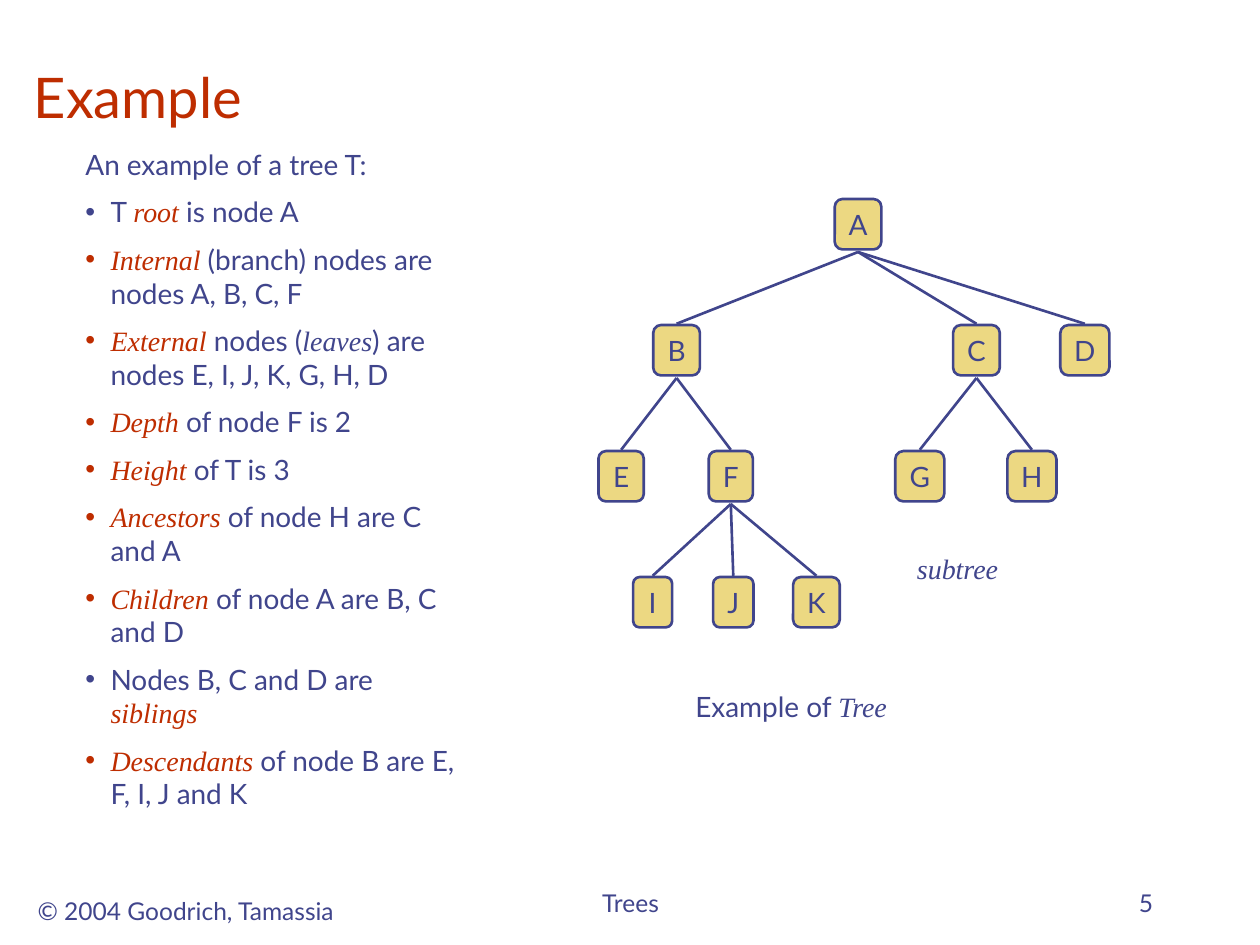
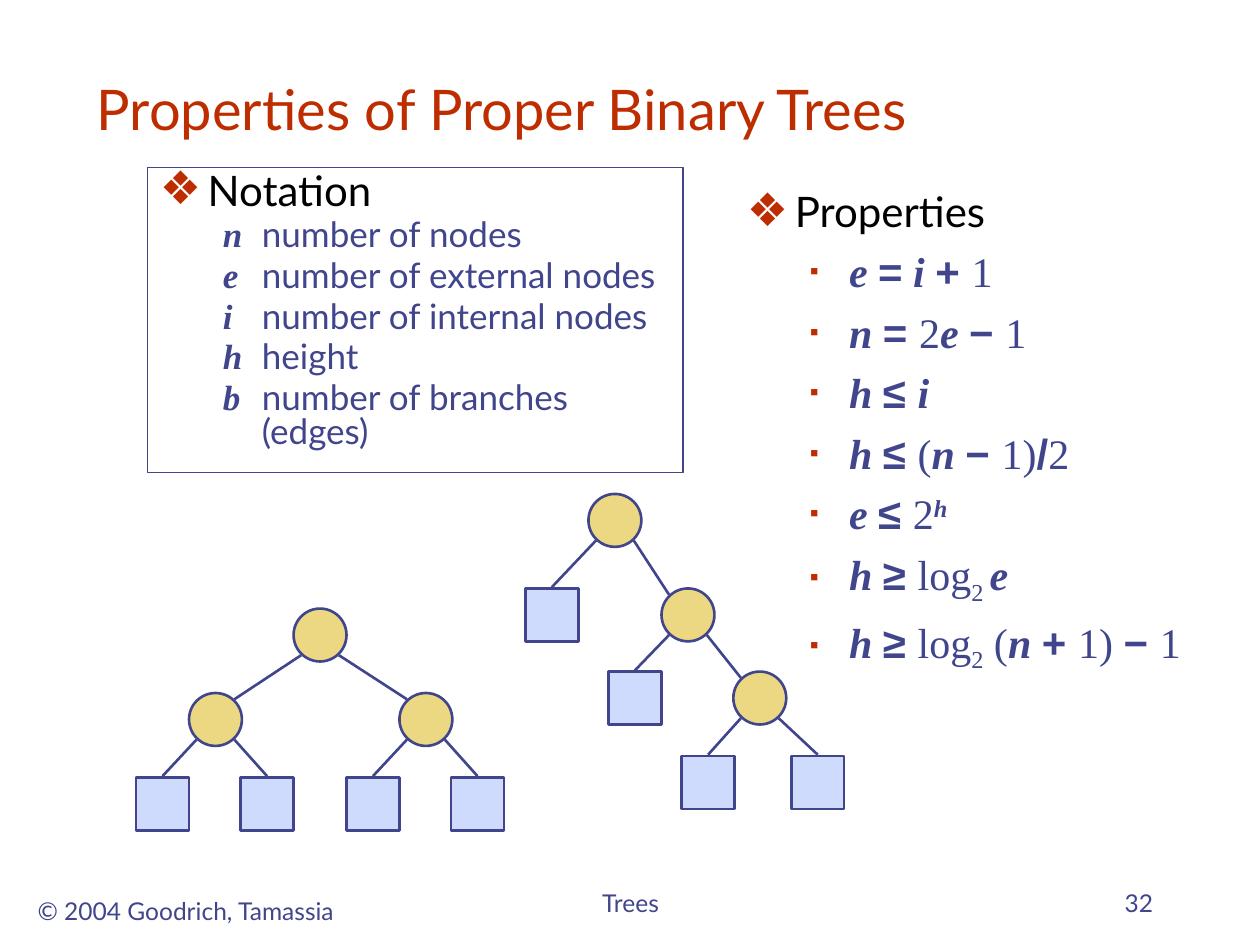
from lxml import etree
from pptx import Presentation
from pptx.dml.color import RGBColor
from pptx.enum.shapes import MSO_CONNECTOR, MSO_SHAPE
from pptx.enum.text import MSO_ANCHOR, PP_ALIGN
from pptx.oxml.ns import qn
from pptx.util import Inches, Pt

ROUNDED, RECT, OVAL = MSO_SHAPE.ROUNDED_RECTANGLE, MSO_SHAPE.RECTANGLE, MSO_SHAPE.OVAL
STRAIGHT = MSO_CONNECTOR.STRAIGHT
LEFT, CENTER, RIGHT = PP_ALIGN.LEFT, PP_ALIGN.CENTER, PP_ALIGN.RIGHT
TOP, MIDDLE, BOTTOM = MSO_ANCHOR.TOP, MSO_ANCHOR.MIDDLE, MSO_ANCHOR.BOTTOM

INDIGO, RUST, BLACK, WHITE = "40458C", "BE2D00", "000000", "FFFFFF"
GOLD, PALE_BLUE = "ECD882", "CFDBFD"
SANS, SERIF, SYMBOL = "Lato", "Times New Roman", "Arial"

# Run styles
PLAIN = {}
EMPHASIS = dict(font=SERIF, italic=True)
TERM = dict(font=SERIF, italic=True, color=RUST)
VARIABLE = dict(font=SERIF, bold=True, italic=True)
OPERATOR = dict(font=SYMBOL, bold=True)
NUMBER = dict(font=SERIF)
SUBSCRIPT = dict(font=SERIF, base=-25)
EXPONENT = dict(VARIABLE, base=30)


def rgb(color):
    return RGBColor.from_string(color)


def write(paragraph, text, font=SANS, size=16, color=INDIGO, bold=False, italic=False, base=0):
    run = paragraph.add_run()
    run.text = text
    run.font.name, run.font.size = font, Pt(size)
    run.font.bold, run.font.italic = bold, italic
    run.font.color.rgb = rgb(color)
    if base:
        run.font._element.set("baseline", str(base * 1000))


def add_bullet(paragraph, char, color, percent):
    properties = paragraph._p.get_or_add_pPr()
    bullet_color = etree.SubElement(properties, qn("a:buClr"))
    etree.SubElement(bullet_color, qn("a:srgbClr"), val=color)
    etree.SubElement(properties, qn("a:buSzPct"), val=str(percent * 1000))
    etree.SubElement(properties, qn("a:buFont"), typeface=SYMBOL)
    etree.SubElement(properties, qn("a:buChar"), char=char)


class Deck:
    def __init__(self):
        self.presentation = Presentation()
        self.presentation.slide_width = Inches(10)
        self.presentation.slide_height = Inches(7.5)
        self.slide = None

    def new_slide(self, title, left, top, number):
        self.slide = self.presentation.slides.add_slide(self.presentation.slide_layouts[6])
        self.label(title, (left, top, 8.5, 0.75), anchor=BOTTOM, size=32, color=RUST)
        self.label("© 2004 Goodrich, Tamassia", (0.17, 7.06, 2.61, 0.33),
                   align=CENTER, wrap=False, size=14)
        self.label("Trees", (3.42, 6.83, 3.17, 0.5), align=CENTER, anchor=BOTTOM, size=14)
        self.label(number, (7.17, 6.83, 2.08, 0.5), align=RIGHT, anchor=BOTTOM, size=14)

    def text_box(self, box, anchor=TOP, wrap=True):
        frame = self.slide.shapes.add_textbox(*map(Inches, box)).text_frame
        frame.word_wrap, frame.vertical_anchor = wrap, anchor
        return frame

    def label(self, text, box, align=LEFT, anchor=TOP, wrap=True, **fmt):
        paragraph = self.text_box(box, anchor, wrap).paragraphs[0]
        paragraph.alignment = align
        write(paragraph, text, **fmt)

    def paragraph(self, frame, runs, size=16, margin=0, hanging=0, before=0,
                  spacing=None, level=0, bullet=None):
        """Add one paragraph of (text, style) runs; bullet is (char, colour, percent)."""
        first = not frame.paragraphs[0].runs
        paragraph = frame.paragraphs[0] if first else frame.add_paragraph()
        paragraph.alignment, paragraph.level = LEFT, level
        if not first:
            paragraph.space_before = Pt(before)
        if spacing:
            paragraph.line_spacing = spacing
        properties = paragraph._p.get_or_add_pPr()
        properties.set("marL", str(Inches(margin)))
        properties.set("indent", str(Inches(-hanging)))
        if bullet:
            add_bullet(paragraph, *bullet)
        for text, style in runs:
            write(paragraph, text, **{"size": size, **style})

    def heading(self, frame, text, spacing=None):
        self.paragraph(frame, [(text, dict(color=BLACK))], size=24, margin=0.38, hanging=0.38,
                       spacing=spacing, bullet=("❖", RUST, 110))

    def shape(self, kind, box, fill, line_width=1.5):
        shape = self.slide.shapes.add_shape(kind, *map(Inches, box))
        shape.shadow.inherit = False
        shape.fill.solid()
        shape.fill.fore_color.rgb = rgb(fill)
        shape.line.color.rgb = rgb(INDIGO)
        shape.line.width = Pt(line_width)
        return shape

    def node(self, letter, center, top, width):
        frame = self.shape(ROUNDED, (center - width / 2, top, width, 0.4), GOLD).text_frame
        frame.word_wrap, frame.vertical_anchor = False, MIDDLE
        frame.paragraphs[0].alignment = CENTER
        write(frame.paragraphs[0], letter)

    def edge(self, start, end):
        line = self.slide.shapes.add_connector(STRAIGHT, *map(Inches, (*start, *end)))
        line.line.color.rgb = rgb(INDIGO)
        line.line.width = Pt(1.5)
        etree.SubElement(line._element.spPr, qn("a:effectLst"))

    def binary_tree(self, tree, size=0.42, reach=0.15, drop=0.16):
        """Draw a (x, y, left, right) tree of centres; a leaf is (x, y)."""
        x, y, *children = tree
        box = (x - size / 2, y - size / 2, size, size)
        self.shape(OVAL if children else RECT, box, GOLD if children else PALE_BLUE)
        for side, child in zip((-1, 1), children):
            child_x, child_y, *grandchildren = child
            if grandchildren:
                end = (child_x - side * reach, child_y - drop)
            else:
                end = (child_x, child_y - size / 2 - 0.01)
            self.edge((x + side * reach, y + drop), end)
            self.binary_tree(child)


# Example slide content
TREE_FACTS = [
    [("T ", PLAIN), ("root", TERM), (" is node A", PLAIN)],
    [("Internal", TERM), (" (branch) nodes are nodes A, B, C, F", PLAIN)],
    [("External", TERM), (" nodes (", PLAIN), ("leaves", EMPHASIS),
     (") are nodes E, I, J, K, G, H, D", PLAIN)],
    [("Depth", TERM), (" of node F is 2", PLAIN)],
    [("Height", TERM), (" of T is 3", PLAIN)],
    [("Ancestors", TERM), (" of node H are C and A", PLAIN)],
    [("Children", TERM), (" of node A are B, C and D", PLAIN)],
    [("Nodes B, C and D are ", PLAIN), ("siblings", TERM)],
    [("Descendants", TERM), (" of node B are E, F, I, J and K", PLAIN)],
]
# letter: (centre x, depth, width, parent)
TREE_NODES = {
    "A": (6.81, 0, 0.37, None),
    "B": (5.37, 1, 0.37, "A"), "C": (7.75, 1, 0.37, "A"), "D": (8.61, 1, 0.39, "A"),
    "E": (4.93, 2, 0.36, "B"), "F": (5.8, 2, 0.35, "B"),
    "G": (7.3, 2, 0.39, "C"), "H": (8.19, 2, 0.39, "C"),
    "I": (5.18, 3, 0.31, "F"), "J": (5.82, 3, 0.32, "F"), "K": (6.48, 3, 0.37, "F"),
}

# Properties slide content
NOTATION = [("n", "number of nodes"), ("e", "number of external nodes"),
            ("i", "number of internal nodes"), ("h", "height"),
            ("b", "number of branches (edges)")]
FORMULAS = [
    [("e ", VARIABLE), ("=", OPERATOR), (" i ", VARIABLE), ("+ ", OPERATOR), ("1", NUMBER)],
    [("n ", VARIABLE), ("= ", OPERATOR), ("2", NUMBER), ("e ", VARIABLE), ("− ", OPERATOR),
     ("1", NUMBER)],
    [("h ", VARIABLE), ("≤ ", OPERATOR), ("i", VARIABLE)],
    [("h ", VARIABLE), ("≤ ", OPERATOR), ("(", NUMBER), ("n ", VARIABLE), ("− ", OPERATOR),
     ("1)", NUMBER), ("/", OPERATOR), ("2", NUMBER)],
    [("e ", VARIABLE), ("≤ ", OPERATOR), ("2", NUMBER), ("h", EXPONENT)],
    [("h ", VARIABLE), ("≥ ", OPERATOR), ("log", NUMBER), ("2 ", SUBSCRIPT), ("e", VARIABLE)],
    [("h ", VARIABLE), ("≥ ", OPERATOR), ("log", NUMBER), ("2", SUBSCRIPT), (" (", NUMBER),
     ("n ", VARIABLE), ("+ ", OPERATOR), ("1) ", NUMBER), ("− ", OPERATOR), ("1", NUMBER)],
]
BALANCED_TREE = (2.54, 5.04,
                 (1.71, 5.71, (1.29, 6.38), (2.12, 6.38)),
                 (3.38, 5.71, (2.96, 6.38), (3.79, 6.38)))
SKEWED_TREE = (4.88, 4.13,
               (4.38, 4.88),
               (5.46, 4.88,
                (5.04, 5.54),
                (6.03, 5.54, (5.62, 6.21), (6.49, 6.21))))


def example_slide(deck):
    deck.new_slide("Example", 0.17, 0.33, "5")

    # Facts about the tree
    facts = deck.text_box((0.58, 1.12, 3.17, 6.25))
    deck.paragraph(facts, [("An example of a tree T:", PLAIN)], margin=0.2, hanging=0.2)
    for runs in TREE_FACTS:
        bullet_color = runs[0][1].get("color", INDIGO)
        deck.paragraph(facts, runs, margin=0.2, hanging=0.2, before=8,
                       bullet=("•", bullet_color, 100))

    # Tree diagram: one inch per level
    for letter, (center, depth, width, parent) in TREE_NODES.items():
        top = 1.58 + depth
        deck.node(letter, center, top, width)
        if parent:
            deck.edge((TREE_NODES[parent][0], top - 0.58), (center, top - 0.01))

    # Captions
    deck.label("subtree", (7.17, 4.33, 0.86, 0.37), align=CENTER, wrap=False, **EMPHASIS)
    caption = deck.text_box((5.42, 5.42, 2.75, 0.37))
    deck.paragraph(caption, [("Example of ", PLAIN), ("Tree", EMPHASIS)])


def properties_slide(deck):
    deck.new_slide("Properties of Proper Binary Trees", 0.67, 0.42, "32")

    # Notation panel
    notation = deck.shape(RECT, (1.17, 1.33, 4.25, 2.42), WHITE, line_width=0.75).text_frame
    notation.word_wrap, notation.vertical_anchor = True, TOP
    deck.heading(notation, "Notation", spacing=0.8)
    for symbol, meaning in NOTATION:
        deck.paragraph(notation, [(symbol + "\t", VARIABLE), (meaning, PLAIN)], size=20,
                       margin=0.81, hanging=0.31, before=4, spacing=0.8, level=1)

    # Property formulas
    formulas = deck.text_box((5.83, 1.42, 3.75, 4))
    deck.heading(formulas, "Properties")
    for runs in FORMULAS:
        deck.paragraph(formulas, runs, size=24, margin=0.81, hanging=0.31, before=5.8,
                       level=1, bullet=("▪", RUST, 60))

    # Proper binary trees
    deck.binary_tree(BALANCED_TREE)
    deck.binary_tree(SKEWED_TREE)


def main():
    deck = Deck()
    example_slide(deck)
    properties_slide(deck)
    deck.presentation.save("out.pptx")


if __name__ == "__main__":
    main()
